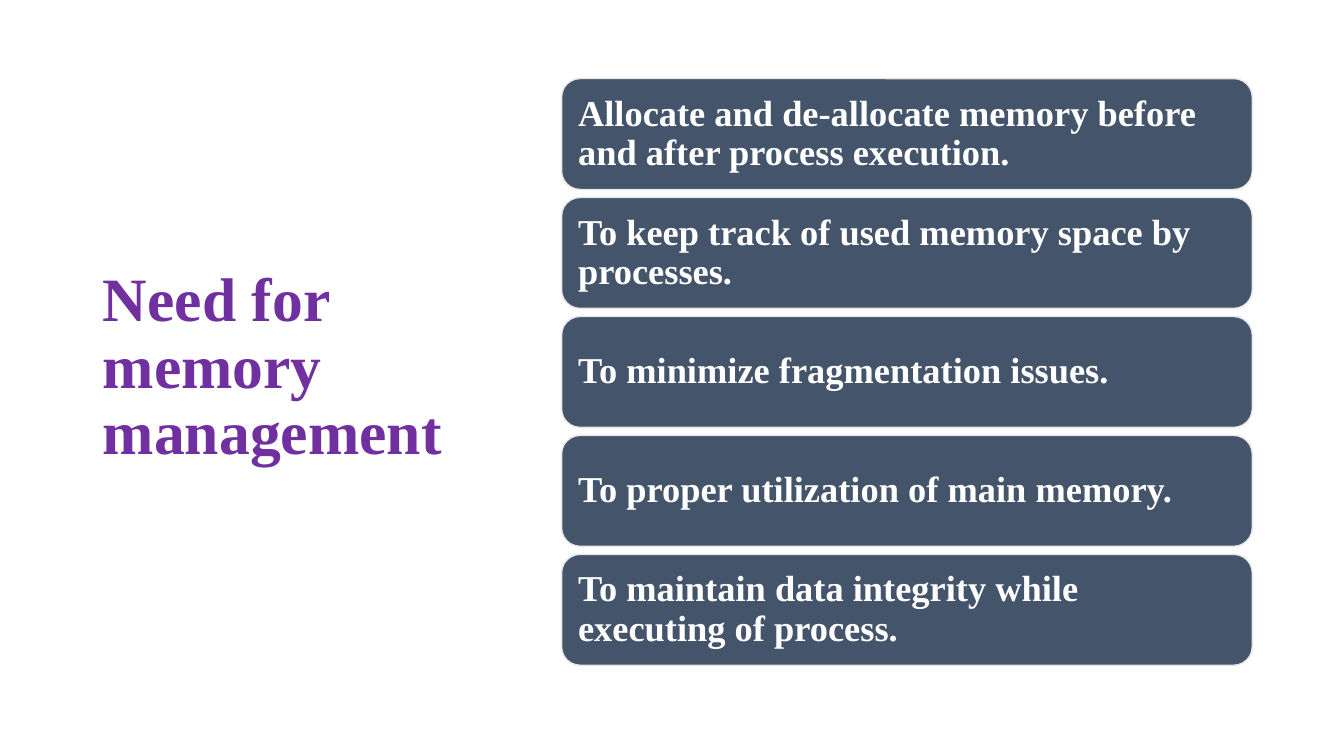
from pptx import Presentation
from pptx.dml.color import RGBColor
from pptx.enum.shapes import MSO_SHAPE
from pptx.enum.text import MSO_ANCHOR, PP_ALIGN
from pptx.util import Inches, Pt

ROUND = MSO_SHAPE.ROUNDED_RECTANGLE
MIDDLE = MSO_ANCHOR.MIDDLE
LEFT = PP_ALIGN.LEFT

WIDTH, HEIGHT = 13.33, 7.5
FONT = "Times New Roman"
COLORS = {"title": "7030A0", "card": "44546A", "edge": "E7E6E6", "text": "FFFFFF"}
TITLE = "Need for memory management"
NEEDS = [
    "Allocate and de-allocate memory before and after process execution.",
    "To keep track of used memory space by processes.",
    "To minimize fragmentation issues.",
    "To proper utilization of main memory.",
    "To maintain data integrity while executing of process.",
]
CARD_LEFT, CARD_TOP = 5.57, 0.78
CARD_WIDTH, CARD_HEIGHT = 6.85, 1.1
PITCH = 1.18


def color(name):
    """Return the named colour."""
    return RGBColor.from_string(COLORS[name])


def write(shape, text, size, ink, inset=0.1):
    """Set bold, left-aligned, wrapped text in a shape."""
    frame = shape.text_frame
    frame.text = text
    frame.word_wrap = True
    frame.vertical_anchor = MIDDLE
    frame.margin_left = frame.margin_right = Inches(inset)
    frame.margin_top = frame.margin_bottom = Inches(inset)
    para = frame.paragraphs[0]
    para.alignment = LEFT
    para.line_spacing = 0.9
    font = para.runs[0].font
    font.name, font.size, font.bold = FONT, Pt(size), True
    font.color.rgb = color(ink)


def add_title(slide, text):
    """Place and format the title at the left."""
    title = slide.shapes.title
    title.left, title.top = Inches(0.92), Inches(0.61)
    title.width, title.height = Inches(3.69), Inches(6.09)
    write(title, text, size=44, ink="title")


def add_card(slide, row, text):
    """Add one need as a rounded card in the given row."""
    top = CARD_TOP + row * PITCH
    box = [Inches(n) for n in (CARD_LEFT, top, CARD_WIDTH, CARD_HEIGHT)]
    card = slide.shapes.add_shape(ROUND, *box)
    card.shadow.inherit = False
    card.fill.solid()
    card.fill.fore_color.rgb = color("card")
    card.line.color.rgb = color("edge")
    card.line.width = Pt(1)
    write(card, text, size=26, ink="text", inset=0.11)


def main():
    """Build and save the slide."""
    deck = Presentation()
    deck.slide_width, deck.slide_height = Inches(WIDTH), Inches(HEIGHT)
    slide = deck.slides.add_slide(deck.slide_layouts.get_by_name("Title Only"))
    add_title(slide, TITLE)
    for row, need in enumerate(NEEDS):
        add_card(slide, row, need)
    deck.save("out.pptx")


main()
